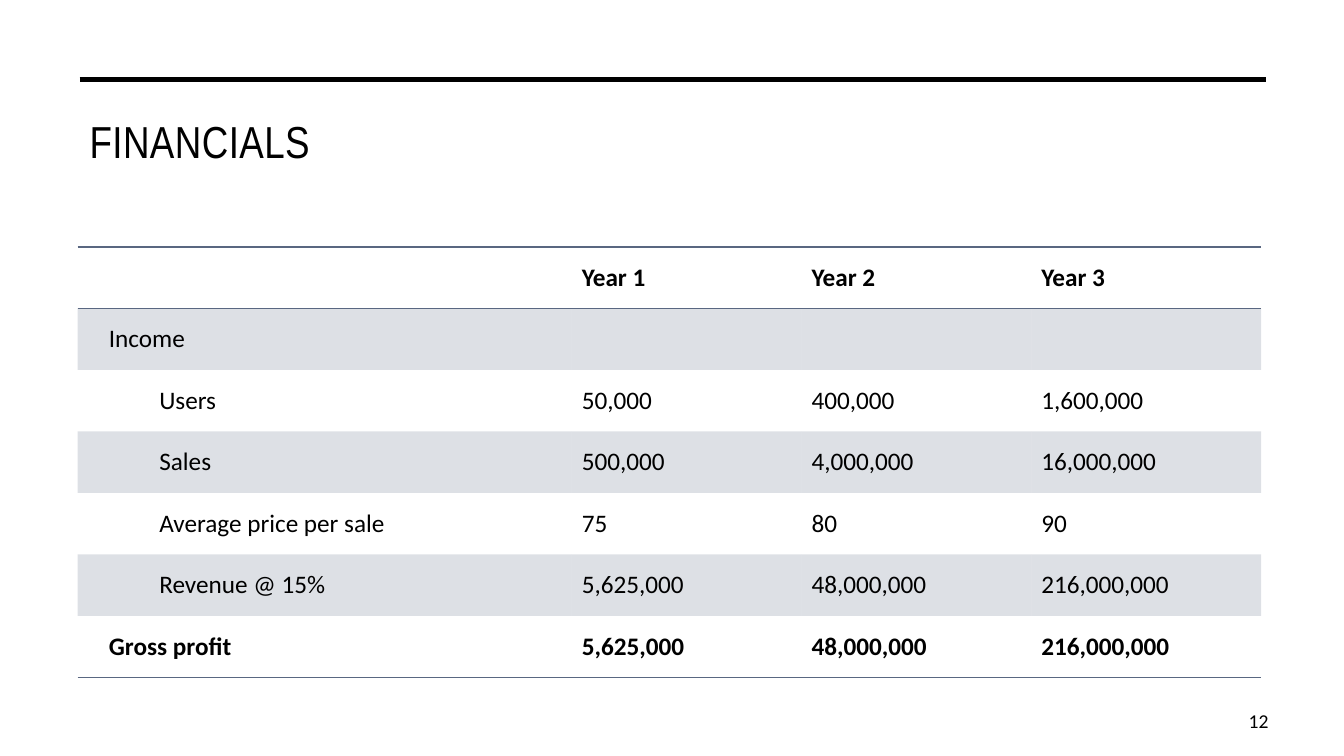
from lxml import etree
from pptx import Presentation
from pptx import util as u
from pptx.dml.color import RGBColor
from pptx.enum import shapes, text
from pptx.oxml.ns import qn

W, H = u.Inches(13.33), u.Inches(7.5)
COLORS = {"ink": "000000", "slate": "596781", "paper": "FFFFFF"}
NO_STYLE = "{2D5ABB26-0587-4C30-8999-92F81FD0307C}"
LABEL_WIDTH, YEAR_WIDTH = 36.76, 17.1
TABLE_HEIGHT = 56.93
ROWS = [
    ("", "Year 1", "Year 2", "Year 3"),
    ("Income", "", "", ""),
    ("Users", "50,000", "400,000", "1,600,000"),
    ("Sales", "500,000", "4,000,000", "16,000,000"),
    ("Average price per sale", "75", "80", "90"),
    ("Revenue @ 15%", "5,625,000", "48,000,000", "216,000,000"),
    ("Gross profit", "5,625,000", "48,000,000", "216,000,000"),
]


def x(share):
    return round(W * share / 100)


def y(share):
    return round(H * share / 100)


def rgb(name):
    return RGBColor.from_string(COLORS[name])


def add_rule(s, left, right, top, width):
    sp = s.shapes.add_connector(
        shapes.MSO_CONNECTOR.STRAIGHT, x(left), y(top), x(right), y(top))
    sp.line.color.rgb = rgb("ink")
    sp.line.width = u.Pt(width)
    etree.SubElement(sp._element.spPr, qn("a:effectLst"))


def write(tf, words, align=text.PP_ALIGN.LEFT, **font):
    p = tf.paragraphs[0]
    p.alignment = align
    r = p.add_run()
    r.text = words
    r.font.color.rgb = rgb("ink")
    for key, value in font.items():
        setattr(r.font, key, value)
    return r


def add_text(s, box, words, anchor, align, **font):
    left, top, width, height = box
    tf = s.shapes.add_textbox(x(left), y(top), x(width), y(height)).text_frame
    tf.word_wrap = True
    tf.vertical_anchor = anchor
    return write(tf, words, align, **font)


def add_border(cell, side):
    ln = etree.Element(qn(f"a:{side}"), w=str(u.Pt(1)))
    fill = etree.SubElement(ln, qn("a:solidFill"))
    etree.SubElement(fill, qn("a:srgbClr"), val=COLORS["slate"])
    cell._tc.get_or_add_tcPr().insert(0, ln)


def shade(cell):
    cell.fill.solid()
    cell.fill.fore_color.rgb = rgb("slate")
    color = cell._tc.tcPr.find(".//" + qn("a:srgbClr"))
    etree.SubElement(color, qn("a:alpha"), val="20000")


def fill_cell(cell, words, row, col):
    last = len(ROWS) - 1
    cell.vertical_anchor = text.MSO_ANCHOR.MIDDLE
    if row % 2:
        shade(cell)
    else:
        cell.fill.background()
    if row in (0, last):
        add_border(cell, "lnB")
    if row == 0:
        add_border(cell, "lnT")
    if col == 0 and row:
        cell.margin_left = u.Inches(0.31)
    if col == 0 and 1 < row < last:
        pPr = cell.text_frame.paragraphs[0]._p.get_or_add_pPr()
        for key, value in {"lvl": 1, "marL": u.Inches(0.5), "indent": 0}.items():
            pPr.set(key, str(value))
    if words:
        write(cell.text_frame, words, size=u.Pt(18), name="Calibri",
              bold=row in (0, last))


def add_financials(s):
    widths = [LABEL_WIDTH] + [YEAR_WIDTH] * 3
    table = s.shapes.add_table(
        len(ROWS), len(widths), x(5.78), y(32.67),
        x(sum(widths)), y(TABLE_HEIGHT)).table
    table.first_row = table.horz_banding = False
    table._tbl.tblPr.find(qn("a:tableStyleId")).text = NO_STYLE
    for column, width in zip(table.columns, widths):
        column.width = x(width)
    for row, values in enumerate(ROWS):
        table.rows[row].height = y(TABLE_HEIGHT / len(ROWS))
        for col, words in enumerate(values):
            fill_cell(table.cell(row, col), words, row, col)


def main():
    prs = Presentation()
    prs.slide_width, prs.slide_height = W, H
    s = prs.slides.add_slide(prs.slide_layouts[6])
    s.background.fill.solid()
    s.background.fill.fore_color.rgb = rgb("paper")
    add_rule(s, 6.6, 93.47, 89.6, 1)
    add_rule(s, 5.93, 94.22, 10.53, 3.5)
    title = add_text(s, (5.93, 14.4, 88.52, 15.33), "FINANCIALS",
                     text.MSO_ANCHOR.TOP, text.PP_ALIGN.LEFT,
                     size=u.Pt(32), name="Arial Narrow")
    title._r.get_or_add_rPr().set("spc", "30")
    add_financials(s)
    add_text(s, (89.57, 92.67, 5.55, 5.33), "12",
             text.MSO_ANCHOR.MIDDLE, text.PP_ALIGN.RIGHT,
             size=u.Pt(14), name="Calibri")
    prs.save("out.pptx")


if __name__ == "__main__":
    main()
